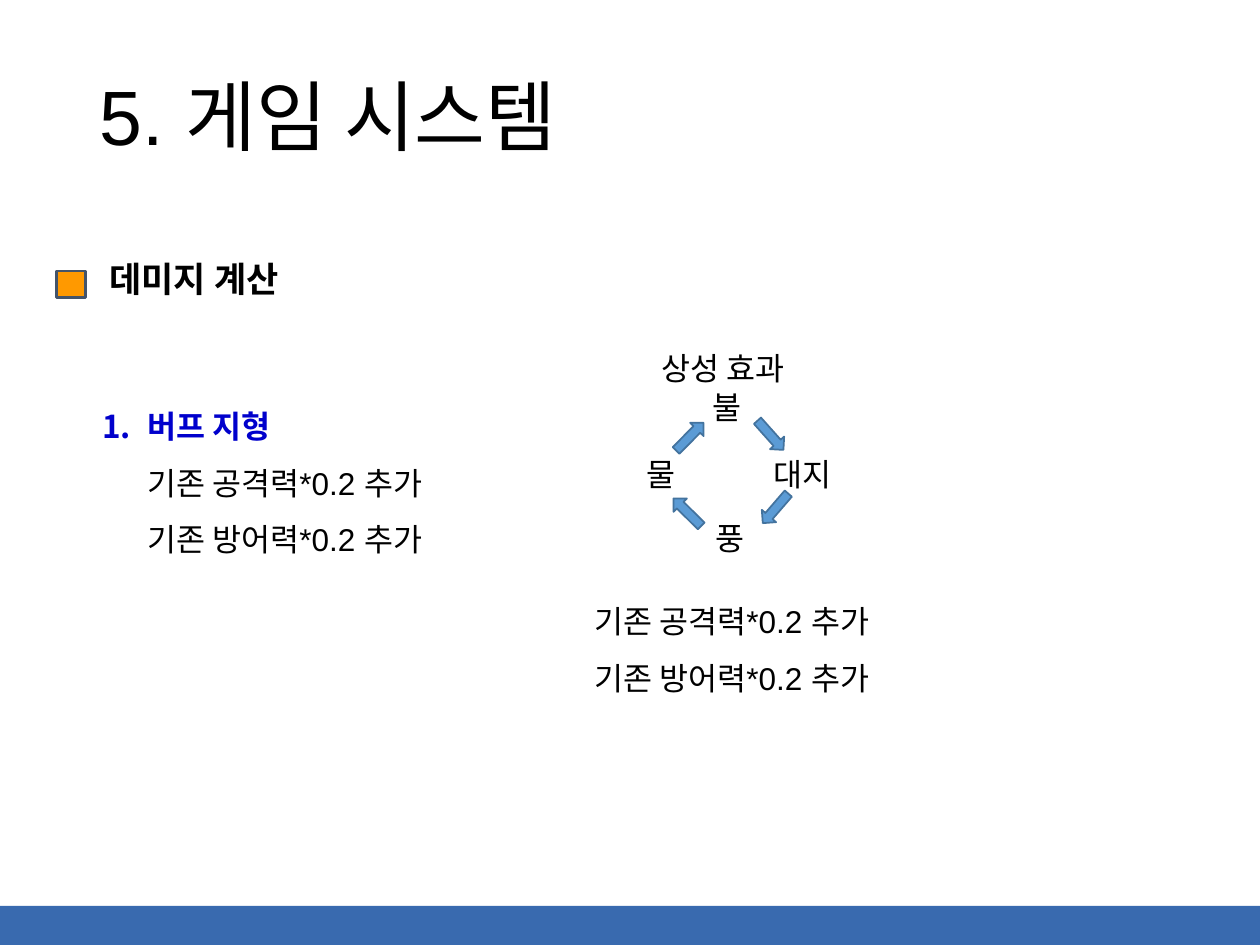
from lxml import etree
from pptx import Presentation
from pptx import util as u
from pptx.dml.color import RGBColor
from pptx.enum import shapes, text
from pptx.oxml.ns import qn

BLACK = RGBColor(0x00, 0x00, 0x00)
BLUE = RGBColor(0x00, 0x00, 0xCC)
BAND = RGBColor(0x39, 0x6A, 0xAF)
ORANGE = RGBColor(0xFF, 0x99, 0x00)
SLATE = RGBColor(0x44, 0x54, 0x6A)
ARROW = RGBColor(0x5B, 0x9B, 0xD5)
ARROW_LINE = RGBColor(0x43, 0x73, 0x9E)
BONUS = ["기존 공격력*0.2 추가", "기존 방어력*0.2 추가"]

prs = Presentation()
prs.slide_width, prs.slide_height = u.Inches(10), u.Inches(7.5)
s = prs.slides.add_slide(prs.slide_layouts[1])


def write(sp, box, lines, size=18, spacing=1.0, wrap=False, bold=False,
          anchor=text.MSO_ANCHOR.TOP):
    """Place a text shape and fill it with one paragraph per line."""
    sp.left, sp.top, sp.width, sp.height = map(u.Inches, box)
    tf = sp.text_frame
    tf.word_wrap, tf.vertical_anchor = wrap, anchor
    tf.auto_size = text.MSO_AUTO_SIZE.NONE
    for i, line in enumerate(lines):
        p = tf.paragraphs[0] if i == 0 else tf.add_paragraph()
        p.alignment = text.PP_ALIGN.LEFT
        p.line_spacing, p.space_before = spacing, u.Pt(0)
        r = p.add_run()
        r.text = line
        r.font.color.rgb = BLACK
        for key, value in dict(name="Arial", size=u.Pt(size), bold=bold).items():
            setattr(r.font, key, value)
    return tf


def block(kind, box, fill, line=None, width=1, angle=0):
    """Add a filled preset shape, outlined if a line colour is given."""
    sp = s.shapes.add_shape(kind, *map(u.Inches, box))
    sp.shadow.inherit = False
    sp.rotation = angle
    sp.fill.solid()
    sp.fill.fore_color.rgb = fill
    if line is None:
        sp.line.fill.background()
    else:
        sp.line.color.rgb = line
        sp.line.width = u.Pt(width)


# Bottom band
block(shapes.MSO_SHAPE.RECTANGLE, (0, 7.19, 10, 0.31), BAND)

# Title
write(s.shapes.title, (0.69, 0.4, 8.62, 1.11), ["5. 게임 시스템"], size=44,
      spacing=0.9, wrap=True, anchor=text.MSO_ANCHOR.MIDDLE)

# Section heading with its square marker
block(shapes.MSO_SHAPE.RECTANGLE, (0.45, 2.15, 0.23, 0.21), ORANGE, SLATE, 1.5)
tf = write(s.shapes.add_textbox(0, 0, 0, 0), (0.77, 1.94, 8.58, 0.53),
           ["데미지 계산"], size=20, wrap=True, bold=True)
for side in ("left", "top", "right", "bottom"):
    setattr(tf, f"margin_{side}", u.Inches(0.1))

# Numbered list: one numbered heading, then plain indented lines
tf = write(s.placeholders[1], (0.71, 3.03, 3.03, 1.46), ["버프 지형"] + BONUS,
           spacing=1.5, wrap=True)
for i, p in enumerate(tf.paragraphs):
    pPr = p._p.get_or_add_pPr()
    pPr.set("marL", str(u.Inches(0.36)))
    pPr.set("indent", str(u.Inches(0 if i else -0.36)))
    if i:
        etree.SubElement(pPr, qn("a:buNone"))
    else:
        etree.SubElement(pPr, qn("a:buFont"), typeface="+mj-lt")
        etree.SubElement(pPr, qn("a:buAutoNum"), type="arabicPeriod")
heading = tf.paragraphs[0].runs[0].font
heading.bold, heading.color.rgb = True, BLUE

# Element cycle: caption, labels and the effect below
labels = [
    ("상성 효과", 5.15, 2.72, 1.3),
    ("불", 5.56, 3.03, 0.45),
    ("대지", 6.04, 3.56, 0.71),
    ("물", 5.03, 3.56, 0.45),
    ("풍", 5.58, 4.07, 0.45),
]
for label, x, y, w in labels:
    write(s.shapes.add_textbox(0, 0, 0, 0), (x, y, w, 0.4), [label])
write(s.shapes.add_textbox(0, 0, 0, 0), (4.62, 4.58, 2.59, 1.01), BONUS,
      spacing=1.5)

# Arrows around the cycle
for x, y, angle in [(5.96, 3.38, 48.3), (6, 3.96, 130.8),
                    (5.3, 3.99, 224.8), (5.32, 3.39, 314.7)]:
    block(shapes.MSO_SHAPE.RIGHT_ARROW, (x, y, 0.31, 0.15), ARROW, ARROW_LINE,
          angle=angle)

prs.save("out.pptx")
